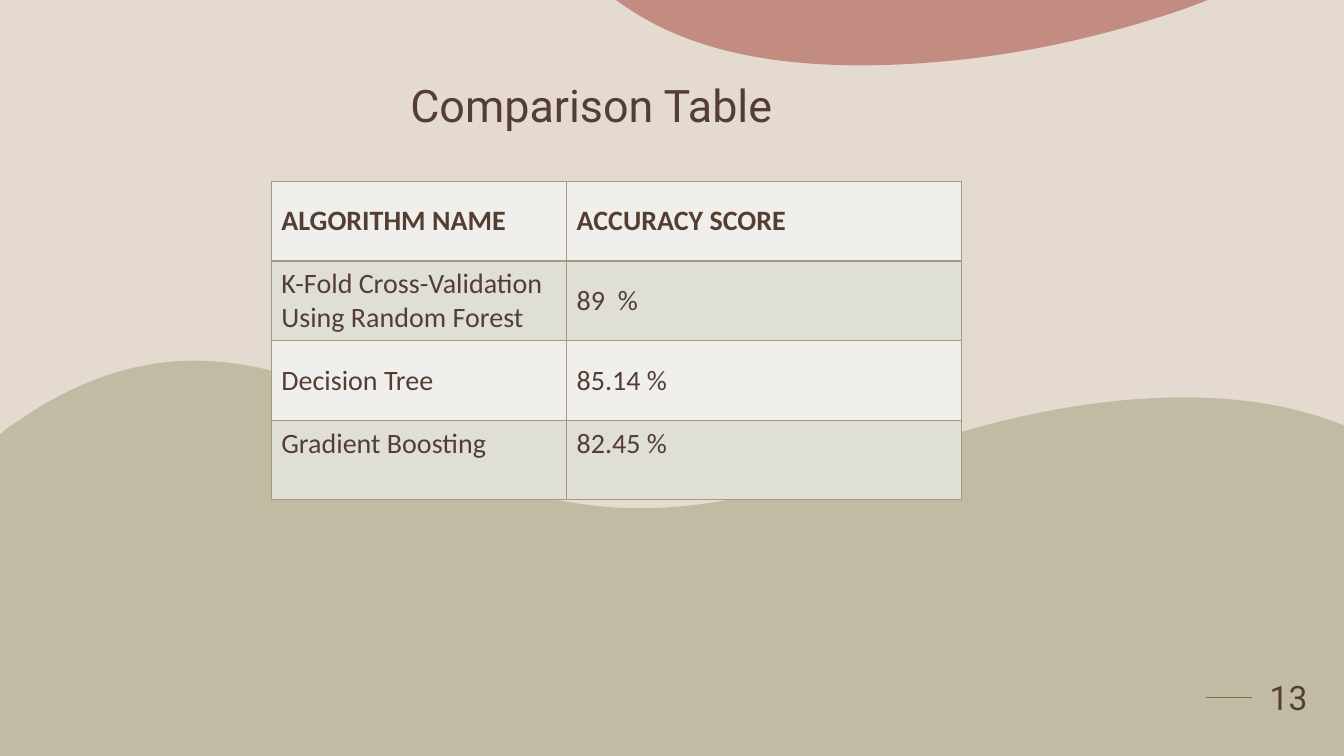
from lxml import etree
from pptx import Presentation
from pptx.dml.color import RGBColor
from pptx.enum.shapes import MSO_CONNECTOR
from pptx.enum.text import MSO_ANCHOR, MSO_AUTO_SIZE, PP_ALIGN
from pptx.oxml.ns import qn
from pptx.util import Inches, Pt

LEFT, CENTER = PP_ALIGN.LEFT, PP_ALIGN.CENTER
MIDDLE, BOTTOM = MSO_ANCHOR.MIDDLE, MSO_ANCHOR.BOTTOM
STRAIGHT = MSO_CONNECTOR.STRAIGHT
NO_AUTOFIT = MSO_AUTO_SIZE.NONE
TITLE_ONLY = 5

COLORS = {
    "background": "E5DACF",
    "text": "543E34",
    "olive": "A09D79",
    "rose": "AC5B4C",
    "light row": "F0EFEC",
    "dark row": "DFDFD7",
}

HILLS_BOX = (0, 3.58, 13.33, 3.92)
HILLS = [
    (2.02, 3.58),
    (2.36, 3.59, 2.7, 3.66, 3.04, 3.79),
    (3.34, 3.9, 3.6, 4.08, 3.86, 4.25),
    (4.43, 4.62, 5.05, 4.9, 5.77, 5),
    (6.37, 5.09, 6.98, 5.03, 7.59, 4.88),
    (8.27, 4.72, 8.67, 4.57, 9.08, 4.43),
    (9.48, 4.29, 11.61, 3.57, 13.25, 4.19),
    (13.33, 4.22),
    (13.33, 7.5),
    (0, 7.5),
    (0, 4.31),
    (0.07, 4.25),
    (0.16, 4.19, 0.25, 4.13, 0.34, 4.07),
    (0.9, 3.72, 1.46, 3.56, 2.02, 3.58),
]
ROSE_BOX = (6.11, 0, 5.86, 0.65)
ROSE = [
    (6.11, 0),
    (11.98, 0),
    (11.77, 0.08),
    (10.56, 0.5, 9.61, 0.59, 9.24, 0.62),
    (7.56, 0.75, 6.71, 0.41, 6.21, 0.07),
]

SCORES = [
    ("ALGORITHM NAME", "ACCURACY SCORE"),
    ("K-Fold Cross-Validation Using Random Forest", "89  %"),
    ("Decision Tree", "85.14 %"),
    ("Gradient Boosting", "82.45 %"),
]
COLUMN_WIDTHS = (2.93, 3.92)
ROW_HEIGHT = 0.79


def color(name):
    """Return the named colour."""
    return RGBColor.from_string(COLORS[name])


def write_text(frame, text, size=20, font="Calibri", bold=False, align=LEFT, spacing=None):
    """Write one formatted paragraph into a text frame."""
    paragraph = frame.paragraphs[0]
    paragraph.alignment = align
    paragraph.line_spacing = spacing
    run = paragraph.add_run()
    run.text = text
    run.font.size = Pt(size)
    run.font.name = font
    run.font.bold = bold
    run.font.color.rgb = color("text")


def bend_segments(path, segments, left, top):
    """Turn the straight segments that have control points into curves."""
    for line, segment in zip(path.findall(qn("a:lnTo")), segments):
        if len(segment) == 6:
            curve = etree.Element(qn("a:cubicBezTo"))
            for x, y in zip(segment[::2], segment[1::2]):
                etree.SubElement(curve, qn("a:pt"), x=str(Inches(x - left)), y=str(Inches(y - top)))
            path.replace(line, curve)


def add_wave(slide, box, outline, fill, opacity):
    """Add a translucent curved shape."""
    left, top, width, height = box
    first, *rest = [(Inches(point[-2]), Inches(point[-1])) for point in outline]
    builder = slide.shapes.build_freeform(*first, scale=1.0)
    builder.add_line_segments(rest, close=True)
    shape = builder.convert_to_shape()
    shape.width, shape.height = Inches(width), Inches(height)
    outline_path = next(shape.element.iter(qn("a:path")))
    outline_path.set("w", str(Inches(width)))
    outline_path.set("h", str(Inches(height)))
    bend_segments(outline_path, outline[1:], left, top)
    shape.shadow.inherit = False
    shape.line.fill.background()
    shape.fill.solid()
    shape.fill.fore_color.rgb = color(fill)
    rgb = shape.element.spPr.find(f"{qn('a:solidFill')}/{qn('a:srgbClr')}")
    etree.SubElement(rgb, qn("a:alpha"), val=str(opacity * 1000))


def add_title(slide, text):
    """Place and format the title above the background shapes."""
    title = slide.shapes.title
    title.left, title.top = Inches(3.97), Inches(0.36)
    title.width, title.height = Inches(11.33), Inches(1)
    frame = title.text_frame
    frame.auto_size = NO_AUTOFIT
    frame.vertical_anchor = BOTTOM
    write_text(frame, text, size=32, font="Roboto", spacing=0.9)
    title.element.getparent().append(title.element)


def set_borders(cell):
    """Draw a thin olive line on each side of a cell."""
    properties = cell._tc.get_or_add_tcPr()
    for index, side in enumerate(("lnL", "lnR", "lnT", "lnB")):
        line = etree.Element(qn(f"a:{side}"), w=str(Pt(1)))
        fill = etree.SubElement(line, qn("a:solidFill"))
        etree.SubElement(fill, qn("a:srgbClr"), val=COLORS["olive"])
        properties.insert(index, line)


def add_score_table(slide):
    """Add the table of algorithms and their accuracy."""
    frame = slide.shapes.add_table(
        len(SCORES), len(COLUMN_WIDTHS), Inches(2.69), Inches(1.8),
        Inches(sum(COLUMN_WIDTHS)), Inches(ROW_HEIGHT * len(SCORES)))
    table = frame.table
    table.first_row = table.horz_banding = False
    for column, width in zip(table.columns, COLUMN_WIDTHS):
        column.width = Inches(width)
    for row_index, row in enumerate(SCORES):
        table.rows[row_index].height = Inches(ROW_HEIGHT)
        for column_index, text in enumerate(row):
            cell = table.cell(row_index, column_index)
            cell.vertical_anchor = MIDDLE
            cell.margin_bottom = Inches(0.38 if row is SCORES[-1] else 0.05)
            cell.fill.solid()
            cell.fill.fore_color.rgb = color("dark row" if row_index % 2 else "light row")
            set_borders(cell)
            write_text(cell.text_frame, text, bold=row_index == 0)


def add_page_line(slide):
    """Add the short line that leads to the page number."""
    line = slide.shapes.add_connector(
        STRAIGHT, Inches(11.96), Inches(6.92), Inches(12.42), Inches(6.92))
    line.line.color.rgb = color("text")
    line.line.width = Pt(1.25)
    etree.SubElement(line.element.spPr, qn("a:effectLst"))


def add_page_number(slide, number):
    """Add the page number."""
    box = slide.shapes.add_textbox(Inches(12.42), Inches(6.43), Inches(0.72), Inches(0.98))
    box.text_frame.word_wrap = True
    box.text_frame.vertical_anchor = MIDDLE
    write_text(box.text_frame, number, size=24, font="Roboto", align=CENTER)


def main():
    """Build the comparison slide and save it."""
    presentation = Presentation()
    presentation.slide_width = Inches(13.33)
    presentation.slide_height = Inches(7.5)
    slide = presentation.slides.add_slide(presentation.slide_layouts[TITLE_ONLY])
    slide.background.fill.solid()
    slide.background.fill.fore_color.rgb = color("background")
    add_page_line(slide)
    add_wave(slide, HILLS_BOX, HILLS, "olive", 50)
    add_wave(slide, ROSE_BOX, ROSE, "rose", 60)
    add_title(slide, "Comparison Table")
    add_score_table(slide)
    add_page_number(slide, "13")
    presentation.save("out.pptx")


if __name__ == "__main__":
    main()
